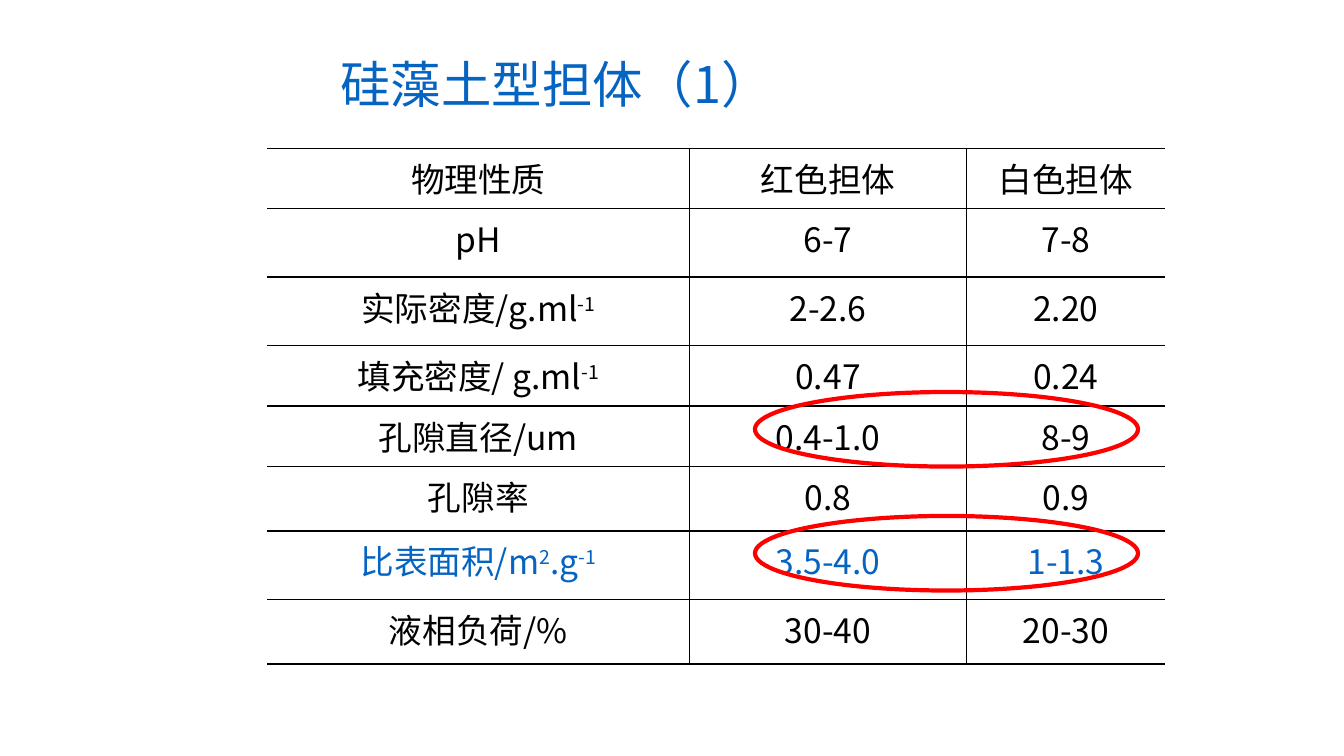
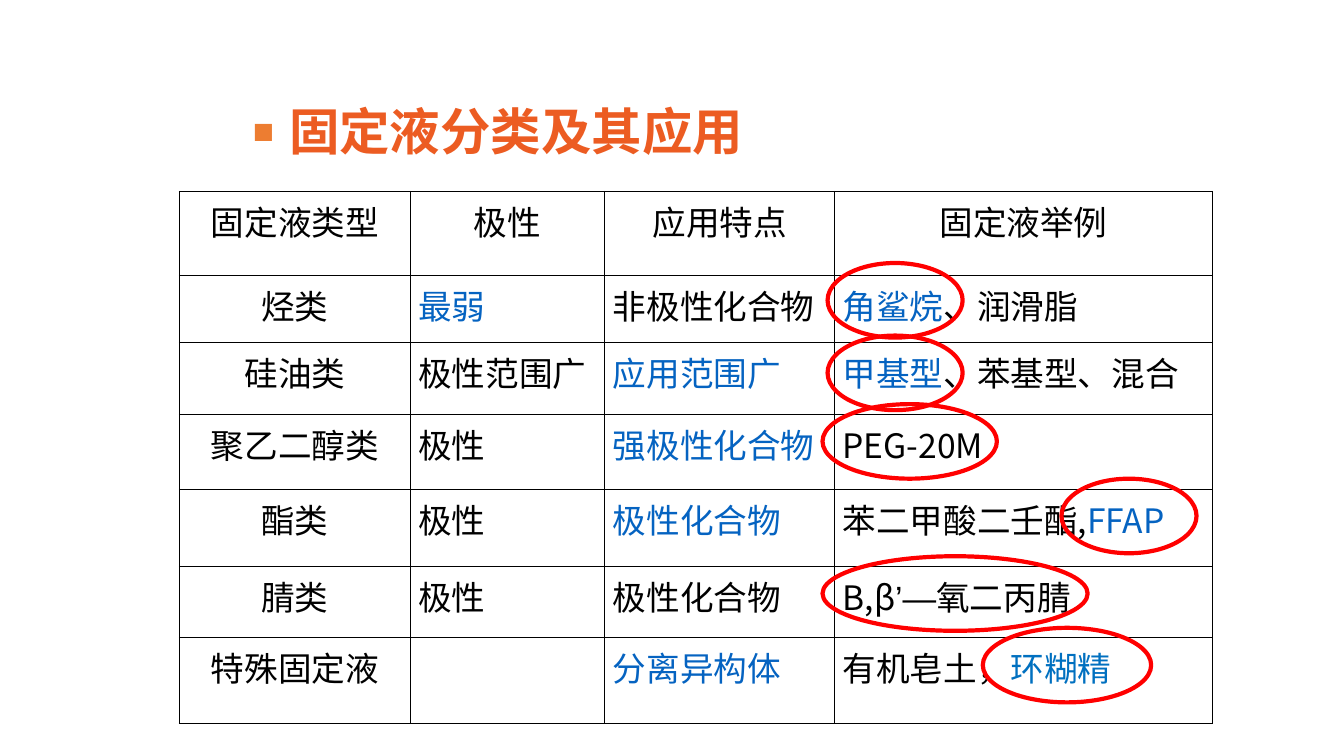
"""Build two slides on chromatographic supports and stationary liquids."""
import lxml.etree
import pptx
import pptx.dml.color
import pptx.enum.shapes
import pptx.enum.text
import pptx.oxml.ns
import pptx.util

BLACK = pptx.dml.color.RGBColor(0x00, 0x00, 0x00)
BLUE = pptx.dml.color.RGBColor(0x05, 0x63, 0xC1)
BRIGHT_BLUE = pptx.dml.color.RGBColor(0x00, 0x70, 0xC0)
ORANGE = pptx.dml.color.RGBColor(0xEC, 0x5C, 0x22)
BULLET_ORANGE = pptx.dml.color.RGBColor(0xED, 0x7D, 0x31)
RED = pptx.dml.color.RGBColor(0xFF, 0x00, 0x00)
FONT = "Noto Sans CJK SC"
ALIGN = pptx.enum.text.PP_ALIGN
GRID_COLUMNS = 40
RING_HEIGHT = 2.22

presentation = pptx.Presentation()
presentation.slide_width = pptx.util.Inches(13.33)
presentation.slide_height = pptx.util.Inches(7.5)
UNIT = presentation.slide_width / GRID_COLUMNS


def add_text(paragraph, text, size=24, color=BLACK, bold=False, font=FONT, raised=False):
    run = paragraph.add_run()
    run.text = text
    run.font.size = pptx.util.Pt(size)
    run.font.bold = bold
    run.font.color.rgb = color
    run.font.name = font
    properties = run.font._element
    add_element(properties, "a:ea", typeface=font)
    if raised:
        properties.set("baseline", "30000")


def add_element(parent, tag, **attributes):
    return lxml.etree.SubElement(parent, pptx.oxml.ns.qn(tag), attributes)


blue = {"color": BLUE}
raised = {"raised": True}
blue_raised = {"color": BLUE, "raised": True}

support_rows = [
    ["物理性质", "红色担体", "白色担体"],
    ["pH", "6-7", "7-8"],
    [[("实际密度/g.ml", {}), ("-1", raised)], "2-2.6", "2.20"],
    [[("填充密度/ g.ml", {}), ("-1", raised)], "0.47", "0.24"],
    ["孔隙直径/um", "0.4-1.0", "8-9"],
    ["孔隙率", "0.8", "0.9"],
    [
        [("比表面积/m", blue), ("2", blue_raised), (".g", blue), ("-1", blue_raised)],
        [("3.5-4.0", blue)],
        [("1-1.3", blue)],
    ],
    ["液相负荷/%", "30-40", "20-30"],
]
liquid_rows = [
    ["固定液类型", "极性", "应用特点", "固定液举例"],
    ["烃类", [("最弱", blue)], "非极性化合物", [("角鲨烷", blue), ("、润滑脂", {})]],
    ["硅油类", "极性范围广", [("应用范围广", blue)], [("甲基型", blue), ("、苯基型、混合", {})]],
    ["聚乙二醇类", "极性", [("强极性化合物", blue)], "PEG-20M"],
    ["酯类", "极性", [("极性化合物", blue)], [("苯二甲酸二壬酯,", {}), ("FFAP", blue)]],
    ["腈类", "极性", "极性化合物",
     [("Β,β", {}), ("’—", {"font": "Arial"}), ("氧二丙腈", {})]],
    ["特殊固定液", "", [("分离异构体", blue)],
     [("有机皂土，", {}), ("环糊精", {"color": BRIGHT_BLUE})]],
]

pages = [
    {
        "title": "硅藻土型担体（1）",
        "title_format": {"color": BLUE},
        "title_box": (9.84, 1.56, 18.33, 2.1),
        "bullet": False,
        "rows": support_rows,
        "corner": (7.95, 4.41),
        "widths": [12.57, 8.25, 5.91],
        "heights": [1.8, 2.04, 2.04, 1.8, 1.8, 1.92, 2.04, 1.92],
        "side_margin": 0.04,
        "open_sides": True,
        "centred_columns": 3,
        "rings": [(22.47, 11.67, 11.4), (22.47, 15.36, 11.4)],
    },
    {
        "title": "固定液分类及其应用",
        "title_format": {"color": ORANGE, "bold": True},
        "title_box": (7.23, 2.28, 26.85, 3.42),
        "bullet": True,
        "rows": liquid_rows,
        "corner": (5.34, 5.7),
        "widths": [6.87, 5.79, 6.84, 11.25],
        "heights": [2.49, 2.01, 2.13, 2.25, 2.28, 2.13, 2.55],
        "side_margin": 0.08,
        "open_sides": False,
        "centred_columns": 1,
        "rings": [
            (24.63, 7.83, 4.02),
            (24.63, 9.99, 4.02),
            (24.48, 12.03, 5.19),
            (31.59, 14.25, 4.02),
            (24.48, 16.56, 7.89),
            (29.25, 18.69, 5.01),
        ],
    },
]

for page in pages:
    slide = presentation.slides.add_slide(presentation.slide_layouts[6])

    title = slide.shapes.add_textbox(*[round(value * UNIT) for value in page["title_box"]])
    title.text_frame.word_wrap = True
    title.text_frame.vertical_anchor = pptx.enum.text.MSO_ANCHOR.MIDDLE
    paragraph = title.text_frame.paragraphs[0]
    paragraph.line_spacing = 0.9
    if page["bullet"]:
        properties = paragraph._p.get_or_add_pPr()
        indent = pptx.util.Inches(0.36)
        properties.set("marL", str(indent))
        properties.set("indent", str(-indent))
        bullet_color = add_element(properties, "a:buClr")
        add_element(bullet_color, "a:srgbClr", val=str(BULLET_ORANGE))
        add_element(properties, "a:buSzPct", val="70000")
        add_element(properties, "a:buFont", typeface="Arial")
        add_element(properties, "a:buChar", char="■")
    add_text(paragraph, page["title"], size=36, **page["title_format"])

    rows, widths, heights = page["rows"], page["widths"], page["heights"]
    left, top = page["corner"]
    frame = [round(value * UNIT) for value in (left, top, sum(widths), sum(heights))]
    table = slide.shapes.add_table(len(rows), len(widths), *frame).table
    table.first_row = False
    table.horz_banding = False
    for column, width in zip(table.columns, widths):
        column.width = round(width * UNIT)
    for row, height in zip(table.rows, heights):
        row.height = round(height * UNIT)

    for row_index, row in enumerate(rows):
        for column_index, content in enumerate(row):
            cell = table.cell(row_index, column_index)
            cell.margin_left = cell.margin_right = pptx.util.Inches(page["side_margin"])
            hidden_edges = []
            if page["open_sides"] and column_index == 0:
                hidden_edges.append("a:lnL")
            if page["open_sides"] and column_index == len(widths) - 1:
                hidden_edges.append("a:lnR")
            cell_properties = cell._tc.get_or_add_tcPr()
            for edge in ("a:lnL", "a:lnR", "a:lnT", "a:lnB"):
                border = add_element(cell_properties, edge, w=str(pptx.util.Pt(1)))
                if edge in hidden_edges:
                    add_element(border, "a:noFill")
                else:
                    border_fill = add_element(border, "a:solidFill")
                    add_element(border_fill, "a:srgbClr", val=str(BLACK))
            cell.fill.background()

            paragraph = cell.text_frame.paragraphs[0]
            centred = row_index == 0 or column_index < page["centred_columns"]
            paragraph.alignment = ALIGN.CENTER if centred else ALIGN.LEFT
            pieces = [(content, {})] if isinstance(content, str) else content
            for text, text_format in pieces:
                if text:
                    add_text(paragraph, text, **text_format)

    for left, top, width in page["rings"]:
        ring_box = [round(value * UNIT) for value in (left, top, width, RING_HEIGHT)]
        ring = slide.shapes.add_shape(pptx.enum.shapes.MSO_SHAPE.OVAL, *ring_box)
        ring.shadow.inherit = False
        ring.fill.background()
        ring.line.color.rgb = RED
        ring.line.width = pptx.util.Pt(3)

presentation.save("out.pptx")
